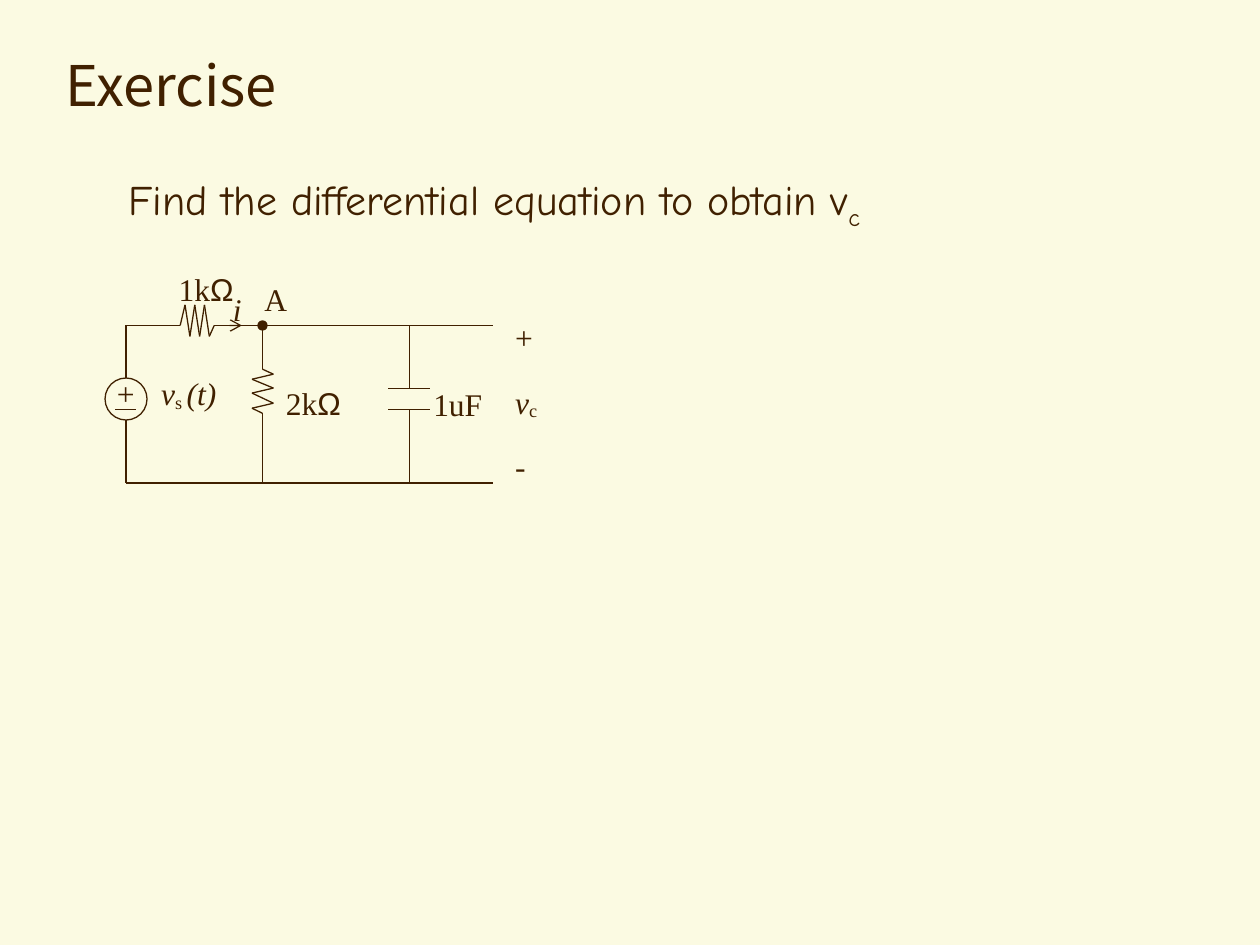
from dataclasses import dataclass
from itertools import pairwise

from lxml import etree
from pptx import Presentation
from pptx.dml.color import RGBColor
from pptx.enum import shapes, text
from pptx.oxml import ns
from pptx.util import Inches, Pt

COLORS = {"background": "FBFAE2", "ink": "402000"}
SERIF, SANS = "Times New Roman", "Arial"
GRID = 1 / 12  # the circuit sits on a grid of twelve steps to the inch
TOP, BOTTOM = 31 * GRID, 46 * GRID
SOURCE_X, NODE_X, CAPACITOR_X, TERMINAL_X = (
    step * GRID for step in (12, 25, 39, 47))
SOURCE_Y, SOURCE_RADIUS = 38 * GRID, 2 * GRID
PLATES = (37 * GRID, 39 * GRID)


@dataclass
class Run:
    text: str
    font: str = SERIF
    italic: bool = False
    baseline: int = 0


@dataclass
class Label:
    """A text box; each paragraph is a list of runs."""
    box: tuple[float, float, float, float]
    paragraphs: list[list[Run]]
    size: float = 18
    wrap: bool = False
    line_spacing: float | None = None
    gap: float = 0


@dataclass
class Wire:
    start: tuple[float, float]
    end: tuple[float, float]
    tail: str | None = None


def color(name: str) -> RGBColor:
    return RGBColor.from_string(COLORS[name])


def add_run(paragraph, content: str, *, size: float, font: str = SERIF,
            italic: bool = False, baseline: int = 0) -> None:
    """Append formatted text; baseline is a shift in percent."""
    run = paragraph.add_run()
    run.text = content
    run.font.size = Pt(size)
    run.font.name = font
    run.font.italic = italic
    run.font.color.rgb = color("ink")
    if baseline:
        run.font._element.set("baseline", str(baseline * 1000))


def add_label(slide, label: Label) -> None:
    frame = slide.shapes.add_textbox(*map(Inches, label.box)).text_frame
    frame.word_wrap = label.wrap
    frame.auto_size = text.MSO_AUTO_SIZE.SHAPE_TO_FIT_TEXT
    for index, runs in enumerate(label.paragraphs):
        paragraph = frame.add_paragraph() if index else frame.paragraphs[0]
        paragraph.line_spacing = label.line_spacing
        if index:
            paragraph.space_before = Pt(label.gap)
        for run in runs:
            add_run(paragraph, run.text, size=label.size, font=run.font,
                    italic=run.italic, baseline=run.baseline)


def add_wire(slide, wire: Wire) -> None:
    connector = slide.shapes.add_connector(
        shapes.MSO_CONNECTOR.STRAIGHT, *map(Inches, wire.start + wire.end))
    connector.line.color.rgb = color("ink")
    connector.line.width = Pt(0.75)
    properties = connector._element.spPr
    if wire.tail:
        line = properties.find(ns.qn("a:ln"))
        etree.SubElement(line, ns.qn("a:tailEnd"), type=wire.tail)
    etree.SubElement(properties, ns.qn("a:effectLst"))


def add_source_circle(slide, x: float, y: float, radius: float) -> None:
    circle = slide.shapes.add_shape(
        shapes.MSO_SHAPE.OVAL, Inches(x - radius), Inches(y - radius),
        Inches(2 * radius), Inches(2 * radius))
    circle.shadow.inherit = False
    circle.fill.background()
    circle.line.color.rgb = color("ink")
    circle.line.width = Pt(0.75)


def add_title(slide, content: str) -> None:
    title = slide.shapes.title
    title.left, title.top, title.width, title.height = map(
        Inches, (0.42, 0.25, 9.17, 0.83))
    title.text_frame.vertical_anchor = text.MSO_ANCHOR.MIDDLE
    paragraph = title.text_frame.paragraphs[0]
    paragraph.alignment = text.PP_ALIGN.LEFT
    add_run(paragraph, content, size=32, font="Noto Sans CJK KR")


SERIES_RESISTOR = [(1.43 + 0.27 * step / 7, y) for step, y in
                   enumerate((TOP, 2.42, 2.67, 2.42, 2.67, 2.42, 2.67, TOP))]
SHUNT_RESISTOR = [(NODE_X, 2.93), (2.17, 2.97), (2, 3.01), (2.17, 3.08),
                  (2, 3.12), (2.17, 3.2), (2, 3.24), (NODE_X, 3.28)]

WIRES = [
    Wire((NODE_X, TOP), (TERMINAL_X, TOP)),
    Wire((1.7, TOP), (NODE_X, TOP), "oval"),
    Wire((1.75, TOP), (1.92, TOP), "arrow"),
    Wire((SOURCE_X, TOP), (1.43, TOP)),
    Wire((SOURCE_X, TOP), (SOURCE_X, SOURCE_Y - SOURCE_RADIUS)),
    Wire((SOURCE_X, SOURCE_Y + SOURCE_RADIUS), (SOURCE_X, BOTTOM)),
    Wire((SOURCE_X - GRID, 3.25), (SOURCE_X + GRID, 3.25)),
    Wire((SOURCE_X, BOTTOM), (3.17, BOTTOM)),
    Wire((NODE_X, BOTTOM), (TERMINAL_X, BOTTOM)),
    Wire((NODE_X, TOP), SHUNT_RESISTOR[0]),
    Wire(SHUNT_RESISTOR[-1], (NODE_X, BOTTOM)),
    Wire((CAPACITOR_X, TOP), (CAPACITOR_X, PLATES[0])),
    Wire((CAPACITOR_X, PLATES[1]), (CAPACITOR_X, BOTTOM)),
    *(Wire((CAPACITOR_X - 2 * GRID, y), (CAPACITOR_X + 2 * GRID, y))
      for y in PLATES),
    *(Wire(start, end) for zigzag in (SERIES_RESISTOR, SHUNT_RESISTOR)
      for start, end in pairwise(zigzag)),
]

LABELS = [
    Label((1.32, 2.09, 0.64, 0.4), [[Run("1k"), Run("Ω", SANS)]]),
    Label((2.17, 3, 0.64, 0.4), [[Run("2k"), Run("Ω", SANS)]]),
    Label((1.75, 2.25, 0.27, 0.4), [[Run("i", italic=True)]]),
    Label((0.83, 2.92, 0.33, 0.4), [[Run("+")]], wrap=True),
    Label((3.99, 2.59, 0.45, 1.26),
          [[Run("+")], [Run("v", italic=True), Run("c", baseline=-12)],
           [Run("-")]], line_spacing=0.55, gap=25),
    Label((3.34, 3.01, 0.59, 0.4), [[Run("1uF")]]),
    Label((2, 2.17, 0.38, 0.4), [[Run("A")]]),
    Label((1.18, 2.92, 0.64, 0.41),
          [[Run("v", italic=True), Run("s ", baseline=-12),
            Run("(t)", italic=True)]]),
    Label((0.92, 1.33, 6.04, 0.56),
          [[Run("Find the differential equation to obtain v", "Comic Neue"),
            Run("c", "Comic Neue", baseline=-25)]], size=24),
]


def main() -> None:
    presentation = Presentation()
    presentation.slide_width, presentation.slide_height = Inches(10), Inches(7.5)
    slide = presentation.slides.add_slide(presentation.slide_layouts[5])
    slide.background.fill.solid()
    slide.background.fill.fore_color.rgb = color("background")
    add_title(slide, "Exercise")
    for wire in WIRES:
        add_wire(slide, wire)
    add_source_circle(slide, SOURCE_X, SOURCE_Y, SOURCE_RADIUS)
    for label in LABELS:
        add_label(slide, label)
    presentation.save("out.pptx")


if __name__ == "__main__":
    main()
